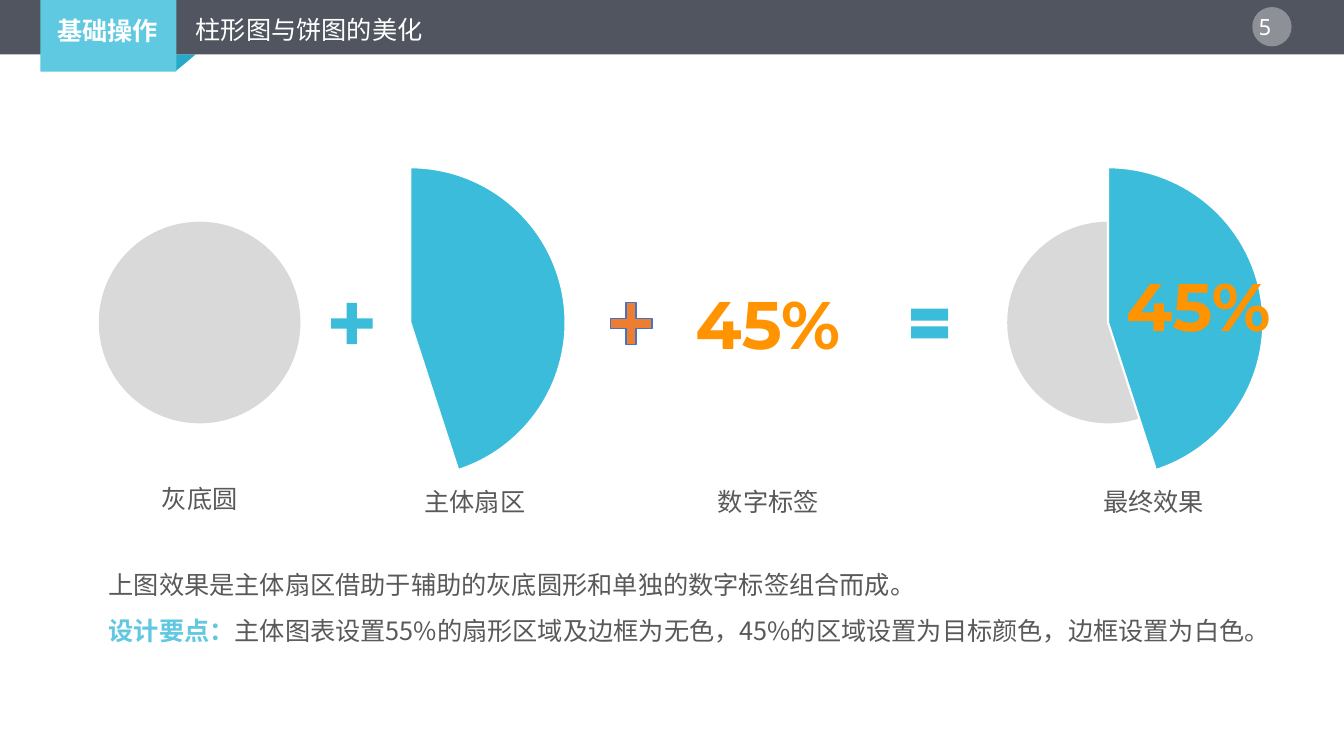
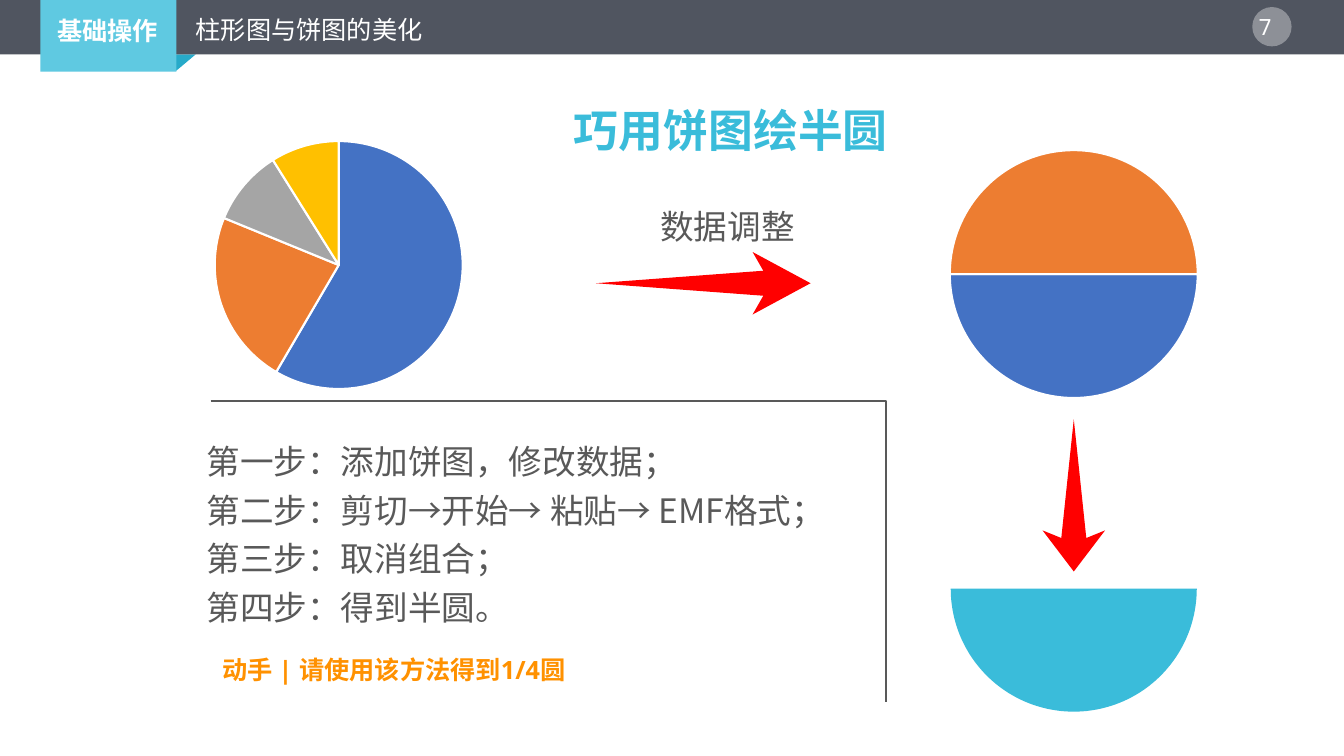
from math import cos, pi, sin

from pptx import Presentation
from pptx.chart.data import CategoryChartData
from pptx.dml.color import RGBColor
from pptx.enum.chart import XL_CHART_TYPE as ChartType
from pptx.enum.shapes import MSO_SHAPE as Shape
from pptx.enum.text import MSO_ANCHOR as Anchor, MSO_AUTO_SIZE as AutoSize, PP_ALIGN as Align
from pptx.oxml import parse_xml
from pptx.oxml.ns import nsdecls, qn
from pptx.util import Inches, Pt

WIDTH, HEIGHT = 13.33, 7.5
BAND_HEIGHT = 0.54
CJK = "Noto Sans CJK SC"
COLORS = {
    "band": "505560", "tag": "5FC9E1", "fold": "27AAC9", "white": "FFFFFF",
    "main": "3ABCDA", "key": "60C8E0", "gray": "D9D9D9", "text": "595959",
    "number": "FF9300", "task": "FF9100", "red": "FF0000", "black": "000000",
    "blue": "4472C4", "orange": "ED7D31", "silver": "A5A5A5", "gold": "FFC000",
}

SECTION = "基础操作"
TITLE = "柱形图与饼图的美化"

# Slide 1: the parts of the composed pie
MIDDLE = 3.2
SHARE = ("45%", 45, 55)
CAPTIONS = [  # text, centre, top
    ("灰底圆", 1.98, 4.6), ("主体扇区", 4.71, 4.63),
    ("数字标签", 7.62, 4.63), ("最终效果", 11.44, 4.63),
]
SIGNS = [  # preset, left, size, fill, line
    (Shape.MATH_PLUS, 3.21, 0.56, "main", None),
    (Shape.MATH_PLUS, 5.98, 0.56, "orange", "blue"),
    (Shape.MATH_EQUAL, 8.97, 0.5, "main", None),
]
EXPLANATION = "上图效果是主体扇区借助于辅助的灰底圆形和单独的数字标签组合而成。"
KEY_POINT = [
    ("设计要点：", "key", True),
    ("主体图表设置55%的扇形区域及边框为无色，45%的区域设置为目标颜色，边框设置为白色。", "text", False),
]

# Slide 2: half circle from a pie
HEADING = "巧用饼图绘半圆"
ADJUST = "数据调整"
STEPS = [
    "第一步：添加饼图，修改数据；",
    "第二步：剪切→开始→ 粘贴→ EMF格式；",
    "第三步：取消组合；",
    "第四步：得到半圆。",
]
TASK = "动手 | 请使用该方法得到1/4圆"
FIRST_PIE = [(59, "blue"), (23, "orange"), (10, "silver"), (9, "gold")]
HALF_PIE = [(50, "blue"), (50, "orange")]
# Arrow outline: share of the length, share of the half width
ARROW = [(1, 0), (0.73, -1), (0.78, -0.4), (0, 0), (0.78, 0.4), (0.73, 1)]


def color(name):
    return RGBColor.from_string(COLORS[name])


def paint(shape, fill=None, line=None, weight=1):
    shape.shadow.inherit = False
    if fill:
        shape.fill.solid()
        shape.fill.fore_color.rgb = color(fill)
    else:
        shape.fill.background()
    if line:
        shape.line.color.rgb = color(line)
        shape.line.width = Pt(weight)
    else:
        shape.line.fill.background()
    return shape


def add_preset(slide, preset, left, top, width, height, fill, line=None):
    box = [Inches(value) for value in (left, top, width, height)]
    return paint(slide.shapes.add_shape(preset, *box), fill, line)


def add_outline(slide, points, fill=None, line=None, weight=1, close=True):
    start, *others = [(Inches(x), Inches(y)) for x, y in points]
    builder = slide.shapes.build_freeform(*start)
    builder.add_line_segments(others, close=close)
    return paint(builder.convert_to_shape(), fill, line, weight)


def style_span(span, size, name, bold, font):
    span.font.size = Pt(size)
    span.font.bold = bold
    span.font.color.rgb = color(name)
    span.font.name = font
    span.font.language_id = None
    east = parse_xml(f'<a:ea {nsdecls("a")} typeface="{CJK}"/>')
    span.font._element.find(qn("a:latin")).addnext(east)


def write(frame, lines, size, name="text", bold=False, font=CJK, align=Align.LEFT, spacing=(1.0,)):
    """Fill a text frame; a line is a string or a list of (text, colour, bold)."""
    frame.word_wrap = True
    frame.auto_size = AutoSize.NONE
    frame.vertical_anchor = Anchor.TOP
    for index, line in enumerate(lines):
        para = frame.paragraphs[0] if index == 0 else frame.add_paragraph()
        para.alignment = align
        para.line_spacing = spacing[index % len(spacing)]
        spans = [(line, name, bold)] if isinstance(line, str) else line
        for text, span_color, span_bold in spans:
            span = para.add_run()
            span.text = text
            style_span(span, size, span_color, span_bold, font)


def add_text(slide, left, top, width, height, lines, size, **style):
    box = slide.shapes.add_textbox(Inches(left), Inches(top), Inches(width), Inches(height))
    write(box.text_frame, lines, size, **style)


def add_pie(slide, center, middle, width, height, diameter, slices, start=0):
    """Draw a pie centred on a point; a slice is (value, colour or None)."""
    data = CategoryChartData()
    data.categories = [str(number + 1) for number in range(len(slices))]
    data.add_series("Series 1", [value for value, _ in slices])
    chart = slide.shapes.add_chart(
        ChartType.PIE, Inches(center - width / 2), Inches(middle - height / 2),
        Inches(width), Inches(height), data).chart
    chart.has_legend = chart.has_title = False
    chart.font.name = "Arial"
    chart.font.size = Pt(10)
    chart.font.color.rgb = color("black")
    plot = chart.plots[0]
    plot.vary_by_categories = True
    for index, (_, fill) in enumerate(slices):
        look = plot.series[0].points[index].format
        if fill:
            look.fill.solid()
            look.fill.fore_color.rgb = color(fill)
            look.line.color.rgb = color("white")
            look.line.width = Pt(1.5)
        else:
            look.fill.background()
            look.line.fill.background()

    area = chart._chartSpace.find(".//" + qn("c:plotArea"))
    for old in area.findall(qn("c:layout")):
        area.remove(old)
    w, h = diameter / width, diameter / height
    area.insert(0, parse_xml(
        f'<c:layout {nsdecls("c")}><c:manualLayout><c:layoutTarget val="inner"/>'
        '<c:xMode val="edge"/><c:yMode val="edge"/>'
        f'<c:x val="{(1 - w) / 2:.4f}"/><c:y val="{(1 - h) / 2:.4f}"/>'
        f'<c:w val="{w:.4f}"/><c:h val="{h:.4f}"/></c:manualLayout></c:layout>'))
    pie = area.find(qn("c:pieChart"))
    for old in pie.findall(qn("c:firstSliceAng")):
        pie.remove(old)
    pie.append(parse_xml(f'<c:firstSliceAng {nsdecls("c")} val="{start}"/>'))


def new_slide(deck, number):
    """Add a slide with the shared band, section tag, title and page number."""
    slide = deck.slides.add_slide(deck.slide_layouts[5])
    fold = add_preset(slide, Shape.ISOSCELES_TRIANGLE, 1.56, BAND_HEIGHT, 0.38, 0.16, "fold")
    fold.rotation = 180
    add_preset(slide, Shape.RECTANGLE, 0, 0, WIDTH, BAND_HEIGHT, "band")
    add_preset(slide, Shape.RECTANGLE, 0.4, 0, 1.35, 0.71, "tag")
    disc = add_preset(slide, Shape.OVAL, 12.42, 0.07, 0.39, 0.39, "white")
    tint = disc._element.spPr.find(qn("a:solidFill"))[0]
    tint.append(parse_xml(f'<a:alpha {nsdecls("a")} val="35000"/>'))
    add_text(slide, 12.26, 0.08, 0.71, 0.37, [f"{number} "], 16, name="white",
             font="Noto Sans Mono", align=Align.CENTER)
    add_text(slide, 0.47, 0.1, 1.3, 0.4, [SECTION], 18, name="white", bold=True, font="Arial")

    title = slide.shapes.title
    title.left, title.top = Inches(1.84), Inches(0.03)
    title.width, title.height = Inches(10), Inches(0.43)
    write(title.text_frame, [TITLE], 18, name="white", font="Arial", spacing=(1.2,))
    slide.shapes._spTree.append(title._element)  # in front of the band
    return slide


def add_base(slide, center):
    add_preset(slide, Shape.OVAL, center - 1, MIDDLE - 1, 2, 2, "gray")


def add_sector(slide, center):
    _, shown, hidden = SHARE
    add_pie(slide, center, MIDDLE, 3.51, 3.39, 3.08, [(shown, "main"), (hidden, None)])


def add_share_label(slide, left, top):
    add_text(slide, left, top, 1.77, 0.91, [SHARE[0]], 48, name="number", bold=True,
             font="Montserrat")


def build_composition(deck):
    slide = new_slide(deck, 5)
    add_base(slide, 10.99)
    add_sector(slide, 10.99)
    add_share_label(slide, 11.07, 2.57)
    add_share_label(slide, 6.8, 2.75)
    add_base(slide, 1.98)
    add_sector(slide, 4.07)
    for preset, left, size, fill, line in SIGNS:
        sign = add_preset(slide, preset, left, MIDDLE + 0.01 - size / 2, size, size, fill, line)
        if preset == Shape.MATH_PLUS:
            sign.adjustments[0] = 0.18
    for text, center, top in CAPTIONS:
        add_text(slide, center - 0.8, top, 1.6, 0.5, [text], 18,
                 align=Align.CENTER, spacing=(1.5,))
    add_text(slide, 0.98, 5.54, 12, 0.92, [EXPLANATION, KEY_POINT], 18, spacing=(1.2, 1.5))


def build_half_circle(deck):
    slide = new_slide(deck, 7)
    pie_center, half_center = 3.36, 10.65
    add_pie(slide, pie_center, 2.63, 4.13, 2.75, 2.46, FIRST_PIE)
    add_pie(slide, half_center, 2.72, 4.13, 2.75, 2.46, HALF_PIE, start=90)

    radius, flat_edge, steps = 1.22, 5.84, 90
    angles = [pi * step / steps for step in range(steps + 1)]
    add_outline(slide, [(half_center + radius * cos(angle), flat_edge + radius * sin(angle))
                        for angle in angles], "main")

    half_width = 0.31
    add_outline(slide, [(5.91 + 2.13 * along, 2.81 + half_width * across)
                        for along, across in ARROW], "red")
    add_outline(slide, [(half_center + half_width * across, 4.16 + 1.51 * along)
                        for along, across in ARROW], "red")
    add_outline(slide, [(2.09, 3.98), (8.79, 3.98), (8.79, 6.96)],
                line="text", weight=1.5, close=False)

    add_text(slide, 6.45, 1.99, 1.7, 0.5, [ADJUST], 24, font="Arial")
    add_text(slide, 1.95, 4.25, 6.84, 2.04, STEPS, 24, spacing=(1.2,))
    add_text(slide, 5.5, 0.86, 3.5, 0.75, [HEADING], 32, name="main", bold=True,
             font="Arial", align=Align.CENTER, spacing=(1.2,))
    add_text(slide, 2.11, 6.44, 3.6, 0.7, [TASK], 18, name="task", bold=True, font="Noto Sans")


def main():
    deck = Presentation()
    deck.slide_width, deck.slide_height = Inches(WIDTH), Inches(HEIGHT)
    build_composition(deck)
    build_half_circle(deck)
    deck.save("out.pptx")


if __name__ == "__main__":
    main()
